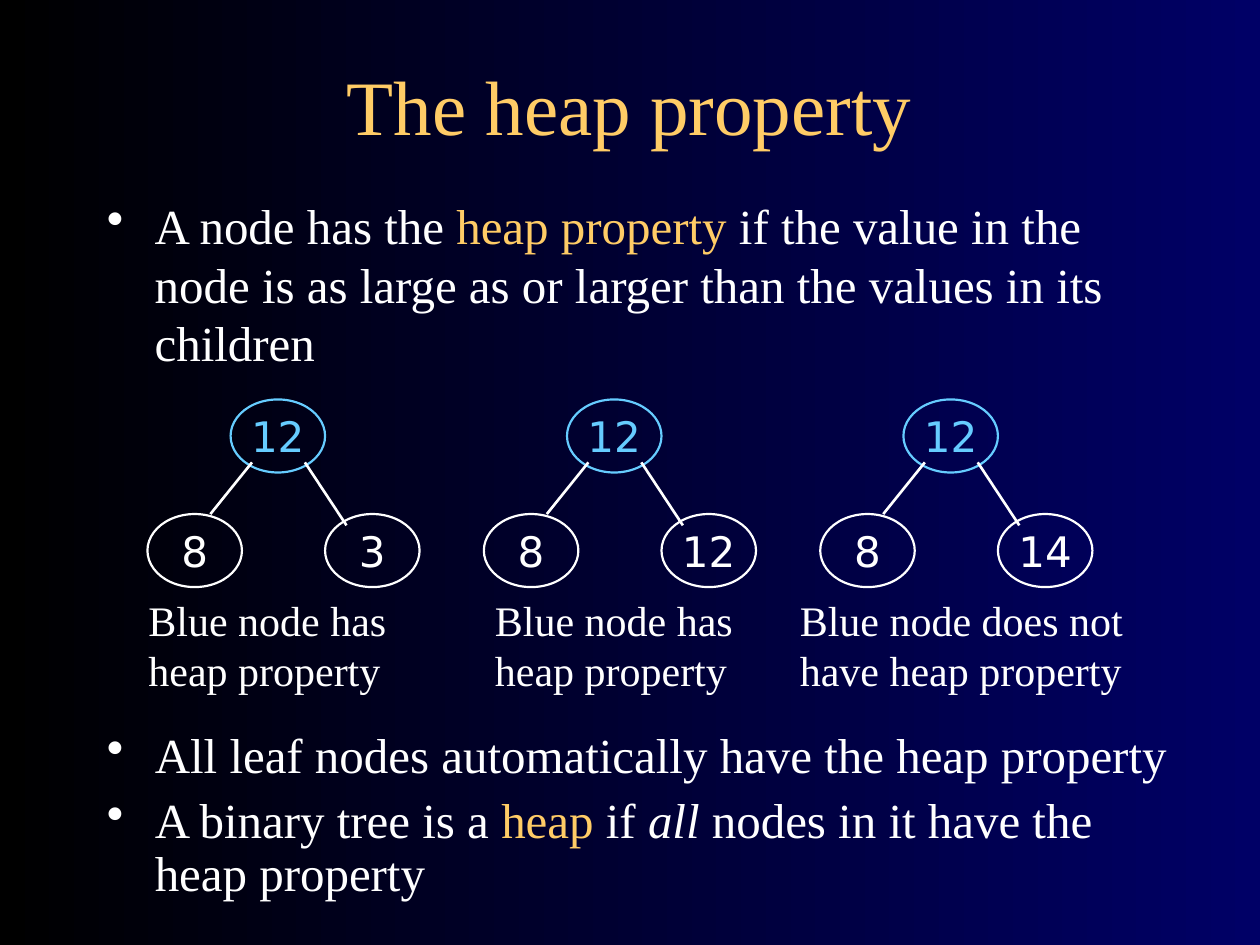
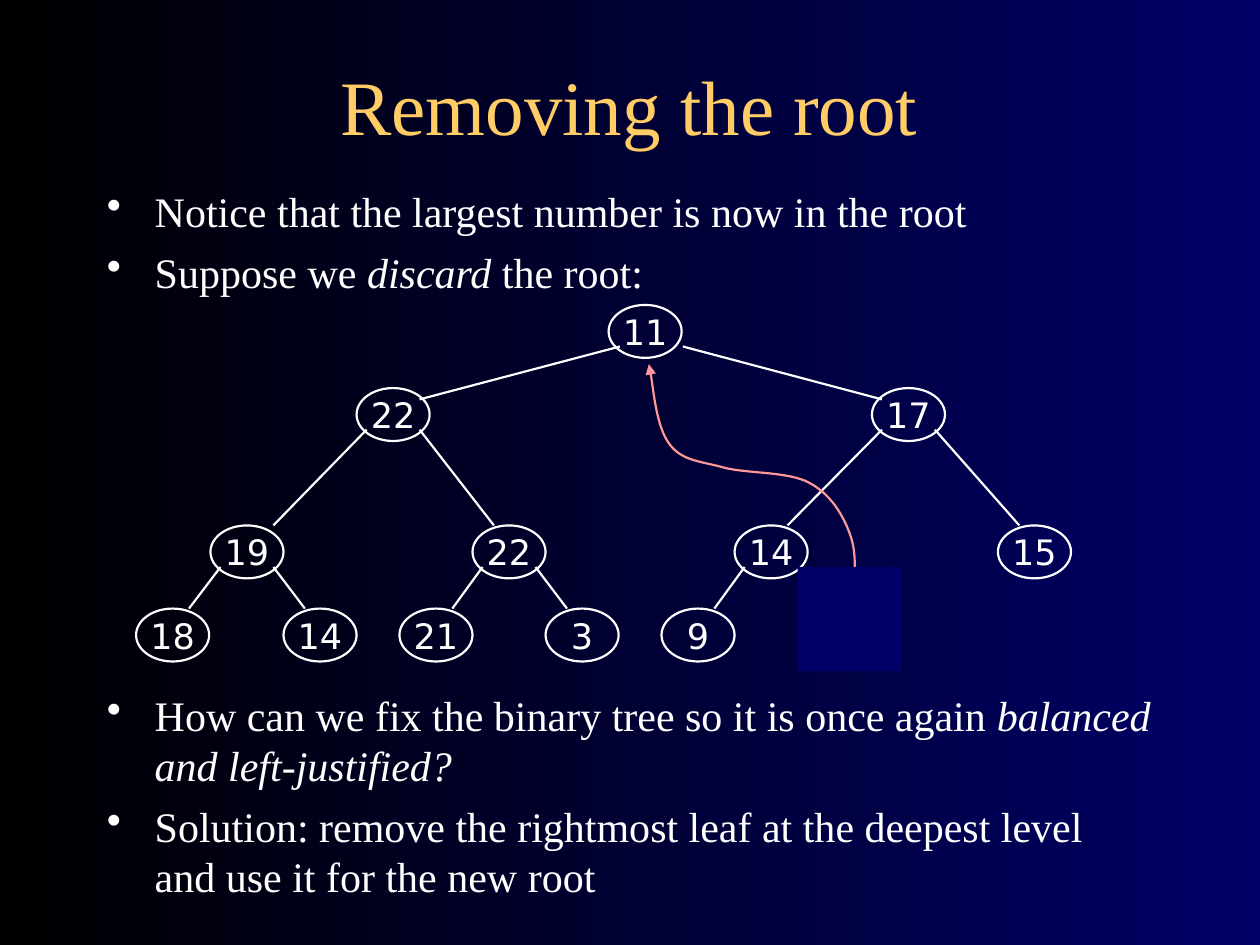
import pptx
import pptx.dml.color
import pptx.enum.shapes
import pptx.enum.text
import pptx.oxml
import pptx.oxml.ns
import pptx.util

Inches = pptx.util.Inches
Pt = pptx.util.Pt
qn = pptx.oxml.ns.qn

SERIF, SANS = "Times New Roman", "DejaVu Sans"
WHITE, GOLD, BLUE, PINK = "FFFFFF", "FFCC66", "66CCFF", "FF9999"
BLACK, NAVY = "000000", "000066"


def rgb(code):
    """Turn a hex string into a colour."""
    return pptx.dml.color.RGBColor.from_string(code)


def add_xml(parent, tag, **attrs):
    """Append a drawing element to a parent and return it."""
    item = pptx.oxml.parse_xml(f'<{tag} {pptx.oxml.ns.nsdecls("a")}/>')
    for name, value in attrs.items():
        item.set(name, value)
    parent.append(item)
    return item


def set_font(para, size, face=SERIF, color=WHITE):
    """Set the font of a whole paragraph."""
    para.font.size = Pt(size)
    para.font.name = face
    para.font.color.rgb = rgb(color)


def set_back(master):
    """Give every slide the black to navy gradient."""
    fill = master.background.fill
    fill.gradient()
    fill.gradient_angle = 0
    for stop, color, place in zip(fill.gradient_stops, (BLACK, NAVY), (0, 1)):
        stop.color.rgb = rgb(color)
        stop.position = place


def add_box(slide, left, top, width, height):
    """Add a wrapping text box and return its frame."""
    box = slide.shapes.add_textbox(
        Inches(left), Inches(top), Inches(width), Inches(height))
    box.text_frame.word_wrap = True
    return box.text_frame


def add_title(slide, text):
    """Add the centred slide title."""
    frame = add_box(slide, 0.33, 0.42, 9.33, 0.83)
    frame.vertical_anchor = pptx.enum.text.MSO_ANCHOR.MIDDLE
    para = frame.paragraphs[0]
    para.text = text
    para.alignment = pptx.enum.text.PP_ALIGN.CENTER
    set_font(para, 44, color=GOLD)


def add_list(slide, place, size, gap, items, pitch=None):
    """Add bullets; each item is a list of (text, style) runs."""
    frame = add_box(slide, *place)
    for num, runs in enumerate(items):
        para = frame.add_paragraph() if num else frame.paragraphs[0]
        para.space_before = Pt(gap)
        para.line_spacing = pitch
        props = para._p.get_or_add_pPr()
        props.set("marL", str(Inches(0.38)))
        props.set("indent", str(Inches(-0.38)))
        add_xml(add_xml(props, "a:buClr"), "a:srgbClr", val=WHITE)
        add_xml(props, "a:buChar", char="•")
        set_font(para, size)
        for text, style in runs:
            run = para.add_run()
            run.text = text
            if style == "gold":
                run.font.color.rgb = rgb(GOLD)
            elif style == "italic":
                run.font.italic = True


def add_node(slide, spot, dims, label, size, color=WHITE):
    """Add an outlined tree node with its number."""
    node = slide.shapes.add_shape(
        pptx.enum.shapes.MSO_SHAPE.OVAL, *map(Inches, spot + dims))
    node.shadow.inherit = False
    node.fill.background()
    node.line.color.rgb = rgb(color)
    node.line.width = Pt(1.25)
    frame = node.text_frame
    frame.word_wrap = False
    frame.vertical_anchor = pptx.enum.text.MSO_ANCHOR.MIDDLE
    para = frame.paragraphs[0]
    para.text = label
    para.alignment = pptx.enum.text.PP_ALIGN.CENTER
    set_font(para, size, SANS, color)


def add_edge(slide, top, low, start, end, width=1.25):
    """Join two nodes, given offsets from their top left corners."""
    ends = (top[0] + start[0], top[1] + start[1],
            low[0] + end[0], low[1] + end[1])
    edge = slide.shapes.add_connector(
        pptx.enum.shapes.MSO_CONNECTOR.STRAIGHT, *map(Inches, ends))
    edge.line.color.rgb = rgb(WHITE)
    edge.line.width = Pt(width)
    add_xml(edge._element.spPr, "a:effectLst")


def add_trio(slide, left, right, note, spot, width):
    """Add a three-node tree with a caption below."""
    dims = (0.75, 0.58)
    root, one, two = (left, 3.17), (left - 0.66, 4.08), (left + 0.75, 4.08)
    add_node(slide, root, dims, "12", 24, BLUE)
    add_node(slide, one, dims, "8", 24)
    add_node(slide, two, dims, right, 24)
    add_edge(slide, root, one, (0.17, 0.5), (0.5, 0), 1.5)
    add_edge(slide, root, two, (0.59, 0.5), (0.17, 0.09), 1.5)
    para = add_box(slide, spot, 4.67, width, 0.9).paragraphs[0]
    para.text = note
    para.space_before = Pt(15)
    set_font(para, 24)


def add_curve(slide, points):
    """Draw a curved arrow through Bezier points."""
    spots = [(Inches(x), Inches(y)) for x, y in points]
    pen = slide.shapes.build_freeform(*spots[0])
    pen.add_line_segments(spots[1:], close=False)
    curve = pen.convert_to_shape()
    curve.shadow.inherit = False
    curve.fill.background()
    curve.line.color.rgb = rgb(PINK)
    curve.line.width = Pt(1.25)
    add_xml(curve.line._get_or_add_ln(), "a:tailEnd", type="triangle")
    lines = list(curve._element.iter(qn("a:lnTo")))
    trail = lines[0].getparent()
    for num in range(0, len(lines), 3):
        bend = add_xml(trail, "a:cubicBezTo")
        for line in lines[num:num + 3]:
            bend.append(line[0])
            trail.remove(line)


def add_patch(slide, left, top, side):
    """Cover the place of the removed leaf."""
    patch = slide.shapes.add_shape(
        pptx.enum.shapes.MSO_SHAPE.RECTANGLE,
        *map(Inches, (left, top, side, side)))
    patch.shadow.inherit = False
    patch.fill.solid()
    patch.fill.fore_color.rgb = rgb(NAVY)
    patch.line.fill.background()


def add_tree(slide):
    """Add the large tree, its nodes keyed by heap index."""
    rows = (2.42, 3.08, 4.17, 4.83)
    nodes = {1: ("11", 4.83), 2: ("22", 2.83), 3: ("17", 6.92),
             4: ("19", 1.67), 5: ("22", 3.75), 6: ("14", 5.83),
             7: ("15", 7.92), 8: ("18", 1.08), 9: ("14", 2.25),
             10: ("21", 3.17), 11: ("3", 4.33), 12: ("9", 5.25)}
    spots = {key: (left, rows[key.bit_length() - 1])
             for key, (_, left) in nodes.items()}
    for key, (label, _) in nodes.items():
        add_node(slide, spots[key], (0.58, 0.42), label, 20)
    starts = {2: (0.09, 0.33), 3: (0.59, 0.33)}
    ends = {2: (0.5, 0.09), 3: (0.08, 0.09), 4: (0.5, 0)}
    sides = (((0.08, 0.33), (0.42, 0)), ((0.5, 0.33), (0.17, 0)))
    for key in range(2, len(nodes) + 1):
        start, end = sides[key % 2]
        add_edge(slide, spots[key // 2], spots[key],
                 starts.get(key, start), ends.get(key, end))


def fill_heap(slide):
    """Build the slide on the heap property."""
    add_title(slide, "The heap property")
    add_list(slide, (0.75, 1.5, 8.5, 1.58), 28, 7, [
        [("A node has the ", ""), ("heap property", "gold"),
         (" if the value in the node is as large as or larger than "
          "the values in its children", "")]])
    add_list(slide, (0.75, 5.75, 8.75, 1.5), 28, 7, [
        [("All leaf nodes automatically have the heap property", "")],
        [("A binary tree is a ", ""), ("heap", "gold"), (" if ", ""),
         ("all", "italic"), (" nodes in it have the heap property", "")]],
        0.9)
    good = "Blue node has heap property"
    bad = "Blue node does not have heap property"
    trios = (("3", good, 1.08, 2.17), ("12", good, 3.83, 2.17),
             ("14", bad, 6.25, 2.83))
    for num, trio in enumerate(trios):
        add_trio(slide, 1.83 + 2.67 * num, *trio)


def fill_root(slide):
    """Build the slide on removing the root."""
    add_title(slide, "Removing the root")
    add_list(slide, (0.75, 1.42, 8.5, 1.08), 24, 6, [
        [("Notice that the largest number is now in the root", "")],
        [("Suppose we ", ""), ("discard", "italic"), (" the root:", "")]])
    add_list(slide, (0.75, 5.42, 8.5, 1.83), 24, 6, [
        [("How can we fix the binary tree so it is once again ", ""),
         ("balanced and left-justified?", "italic")],
        [("Solution: remove the rightmost leaf at the deepest level "
          "and use it for the new root", "")]])
    add_tree(slide)
    add_curve(slide, [
        (6.75, 4.83), (6.78, 4.63), (6.81, 4.42), (6.75, 4.25),
        (6.69, 4.08), (6.59, 3.92), (6.42, 3.83),
        (6.25, 3.74), (5.92, 3.76), (5.74, 3.71),
        (5.56, 3.66), (5.41, 3.66), (5.31, 3.52),
        (5.21, 3.38), (5.18, 3.02), (5.15, 2.89)])
    add_patch(slide, 6.33, 4.5, 0.83)


def main():
    """Build and save both slides."""
    deck = pptx.Presentation()
    deck.slide_width, deck.slide_height = Inches(10), Inches(7.5)
    set_back(deck.slide_master)
    for fill in (fill_heap, fill_root):
        fill(deck.slides.add_slide(deck.slide_layouts[6]))
    deck.save("out.pptx")


if __name__ == "__main__":
    main()
